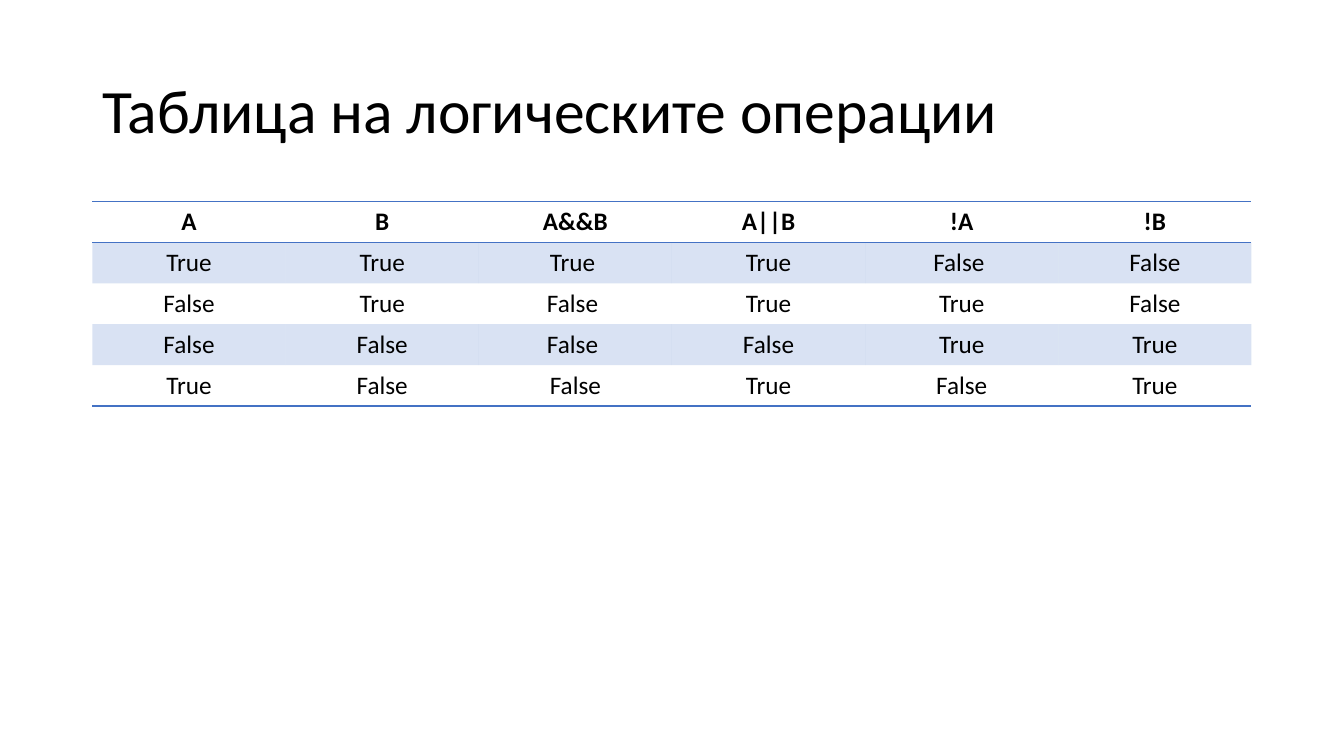
import dataclasses
import lxml.etree
import pptx
import pptx.dml.color
import pptx.enum.text
import pptx.oxml.ns
import pptx.util

Cm = pptx.util.Cm
Pt = pptx.util.Pt
qn = pptx.oxml.ns.qn
Align = pptx.enum.text.PP_ALIGN
Anchor = pptx.enum.text.MSO_ANCHOR


@dataclasses.dataclass(frozen=True)
class Theme:
    font: str = "Calibri"
    ink: str = "000000"
    blue: str = "4472C4"
    tint: int = 20
    title: int = 44
    body: int = 18
    rule: int = 1
    plain: str = "{2D5ABB26-0587-4C30-8999-92F81FD0307C}"


def write(frame, text, font, size, color, bold=False, align=Align.LEFT, space=1.0):
    para = frame.paragraphs[0]
    para.alignment = align
    para.line_spacing = space
    run = para.add_run()
    run.text = text
    run.font.name = font
    run.font.size = Pt(size)
    run.font.bold = bold
    run.font.color.rgb = pptx.dml.color.RGBColor.from_string(color)


class Page:
    def __init__(self, slide, theme):
        self.slide = slide
        self.theme = theme

    def title(self, text, left, top, width, height):
        box = self.slide.shapes.add_textbox(Cm(left), Cm(top), Cm(width), Cm(height))
        frame = box.text_frame
        frame.word_wrap = True
        frame.vertical_anchor = Anchor.MIDDLE
        look = self.theme
        write(frame, text, look.font, look.title, look.ink, space=0.9)

    def table(self, rows, left, top, width, height):
        frame = self.slide.shapes.add_table(
            len(rows), len(rows[0]), Cm(left), Cm(top), Cm(width), Cm(height))
        table = frame.table
        table.first_row = False
        table.horz_banding = False
        frame._element.find(".//" + qn("a:tableStyleId")).text = self.theme.plain
        last = len(rows) - 1
        for r, row in enumerate(rows):
            for c, text in enumerate(row):
                cell = table.cell(r, c)
                look = self.theme
                write(cell.text_frame, text, look.font, look.body, look.ink,
                      bold=r == 0, align=Align.CENTER)
                if r == 0:
                    self.edge(cell, "a:lnT")
                if r in (0, last):
                    self.edge(cell, "a:lnB")
                if r % 2:
                    self.band(cell)
                else:
                    cell.fill.background()

    def edge(self, cell, side):
        props = cell._tc.get_or_add_tcPr()
        line = lxml.etree.SubElement(props, qn(side), w=str(Pt(self.theme.rule)))
        fill = lxml.etree.SubElement(line, qn("a:solidFill"))
        lxml.etree.SubElement(fill, qn("a:srgbClr"), val=self.theme.blue)

    def band(self, cell):
        cell.fill.solid()
        cell.fill.fore_color.rgb = pptx.dml.color.RGBColor.from_string(self.theme.blue)
        color = cell._tc.tcPr.find(".//" + qn("a:srgbClr"))
        lxml.etree.SubElement(color, qn("a:alpha"), val=str(self.theme.tint * 1000))


def main():
    deck = pptx.Presentation()
    deck.slide_width = Cm(33.87)
    deck.slide_height = Cm(19.05)
    page = Page(deck.slides.add_slide(deck.slide_layouts[6]), Theme())
    page.title("Таблица на логическите операции", 2.33, 1.01, 29.21, 3.68)
    page.table([
        ["A", "B", "А&&B", "A||B", "!A", "!B"],
        ["True", "True", "True ", "True", "False ", "False"],
        ["False", "True", "False ", "True", "True", "False"],
        ["False", "False", "False ", "False", "True", "True"],
        ["True", "False", "False", "True", "False", "True"],
    ], 2.33, 5.08, 29.21, 5.15)
    deck.save("out.pptx")


if __name__ == "__main__":
    main()
